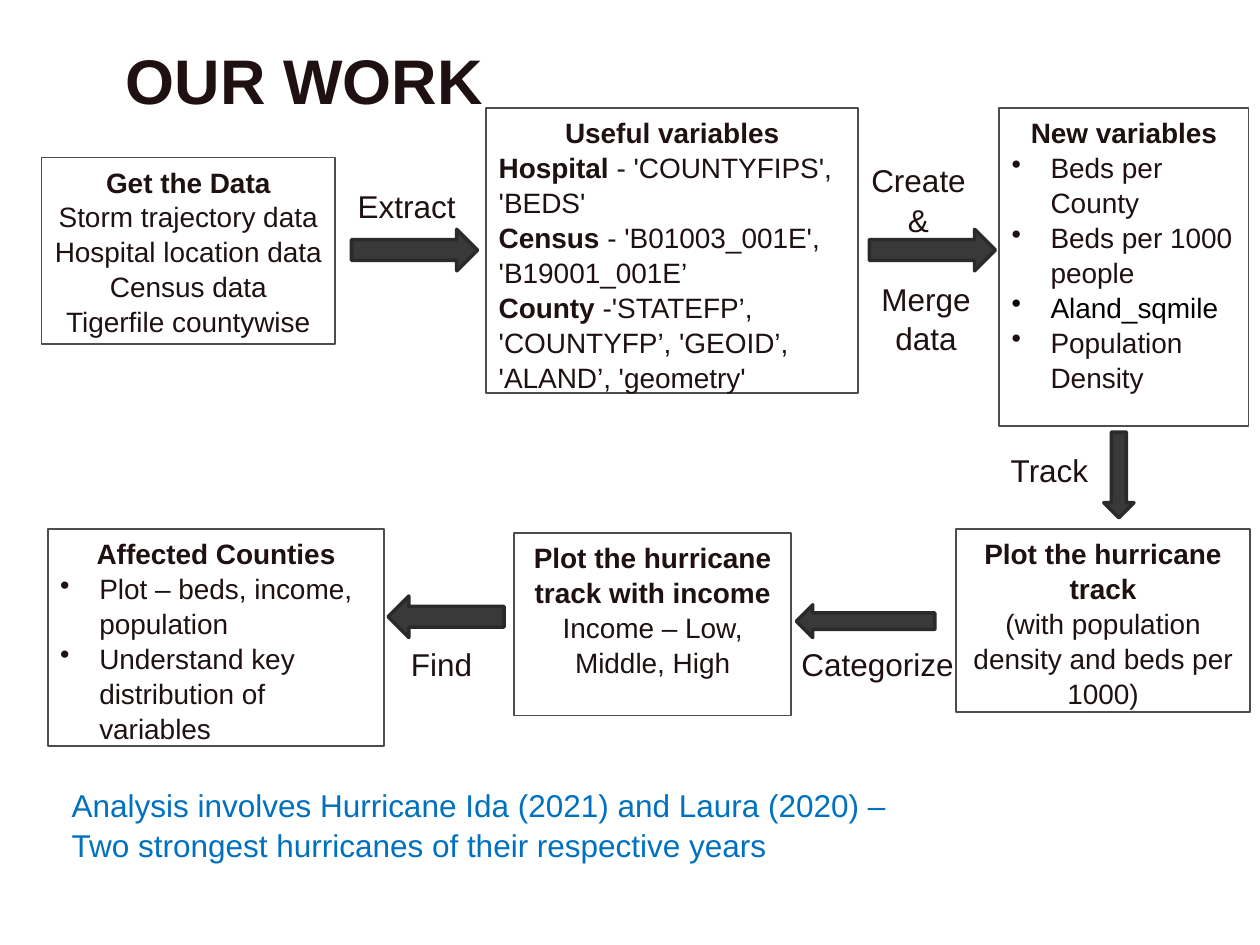
import dataclasses

import pptx
import pptx.dml.color
import pptx.enum.shapes
import pptx.enum.text
import pptx.oxml.ns
import pptx.util
from lxml import etree

PX = 9144
ALIGN = pptx.enum.text.PP_ALIGN
SHAPE = pptx.enum.shapes.MSO_SHAPE
ANCHOR = pptx.enum.text.MSO_ANCHOR


@dataclasses.dataclass(frozen=True)
class Theme:
    """Colours, type sizes and spacing of the slide."""
    font: str = "Arial"
    ink: str = "1F1111"
    black: str = "000000"
    accent: str = "0070C0"
    box_line: str = "4D4D4D"
    arrow_fill: str = "393939"
    arrow_line: str = "2A2A2A"
    title: int = 36
    label: int = 18
    body: int = 16
    leading: float = 1.04
    bullet_indent: int = 31


THEME = Theme()


def rgb(code):
    """Return the colour for a hex code."""
    return pptx.dml.color.RGBColor.from_string(code)


def place(region, left, top, width, height):
    """Return an EMU frame for a part offset from its region's corner."""
    return [pptx.util.Emu(n * PX) for n in (region[0] + left, region[1] + top, width, height)]


def write(frame, text, lead="", size=THEME.body, color=THEME.ink, bold=False,
          align=ALIGN.LEFT, bullet=False):
    """Append a paragraph to a text frame, with an optional bold lead-in."""
    first = frame.paragraphs[0]
    paragraph = frame.add_paragraph() if first.runs else first
    paragraph.alignment = align
    paragraph.line_spacing = THEME.leading
    if bullet:
        properties = paragraph._p.get_or_add_pPr()
        indent = THEME.bullet_indent * PX
        properties.set("marL", str(indent))
        properties.set("indent", str(-indent))
        mark = etree.SubElement(properties, pptx.oxml.ns.qn("a:buChar"))
        mark.set("char", "•")
    for words, heavy in ((lead, True), (text, bold)):
        if words:
            run = paragraph.add_run()
            run.text = words
            run.font.name = THEME.font
            run.font.size = pptx.util.Pt(size)
            run.font.bold = heavy
            run.font.color.rgb = rgb(color)


def label(slide, frame, text, anchor=ANCHOR.TOP, **text_format):
    """Add a wrapped text box holding one paragraph."""
    box = slide.shapes.add_textbox(*frame)
    box.text_frame.word_wrap = True
    box.text_frame.vertical_anchor = anchor
    write(box.text_frame, text, **{"size": THEME.label, **text_format})


def step(slide, frame, heading, lines, **text_format):
    """Add an outlined box with a bold heading above its lines."""
    box = slide.shapes.add_shape(SHAPE.RECTANGLE, *frame)
    box.shadow.inherit = False
    box.fill.background()
    box.line.color.rgb = rgb(THEME.box_line)
    box.line.width = pptx.util.Pt(1)
    box.text_frame.word_wrap = True
    box.text_frame.vertical_anchor = ANCHOR.TOP
    write(box.text_frame, heading, bold=True, align=ALIGN.CENTER)
    for line in lines:
        write(box.text_frame, **{**text_format, **line})


def arrow(slide, frame, rotation=0):
    """Add a dark block arrow that points right before rotation."""
    pointer = slide.shapes.add_shape(SHAPE.RIGHT_ARROW, *frame)
    pointer.shadow.inherit = False
    pointer.rotation = rotation
    pointer.fill.solid()
    pointer.fill.fore_color.rgb = rgb(THEME.arrow_fill)
    pointer.line.color.rgb = rgb(THEME.arrow_line)
    pointer.line.width = pptx.util.Pt(2)
    etree.SubElement(pointer.line._get_or_add_ln(), pptx.oxml.ns.qn("a:round"))


def header(slide, region):
    """Add the slide title."""
    label(slide, place(region, 0, 0, *region[2:]), "OUR WORK", anchor=ANCHOR.MIDDLE,
          size=THEME.title, bold=True)


def data_row(slide, region):
    """Add the steps from raw data to new variables, left to right."""
    step(slide, place(region, 0, 39, 233, 148), "Get the Data", [
        {"text": "Storm trajectory data"},
        {"text": "Hospital location data"},
        {"text": "Census data"},
        {"text": "Tigerfile countywise"},
    ], align=ALIGN.CENTER)
    step(slide, place(region, 353, 0, 295, 226), "Useful variables", [
        {"lead": "Hospital", "text": " - 'COUNTYFIPS', 'BEDS'"},
        {"lead": "Census", "text": " - 'B01003_001E', 'B19001_001E’"},
        {"lead": "County", "text": " -'STATEFP’, 'COUNTYFP’, 'GEOID’, 'ALAND’, 'geometry'"},
    ])
    step(slide, place(region, 760, 0, 198, 252), "New variables", [
        {"text": "Beds per County"},
        {"text": "Beds per 1000 people"},
        {"text": "Aland_sqmile", "color": THEME.black},
        {"text": "Population Density"},
    ], bullet=True)
    for left in (246, 657):
        arrow(slide, place(region, left, 96, 100, 33))
    label(slide, place(region, 241, 56, 110, 40), "Extract")
    label(slide, place(region, 641, 36, 110, 71), "Create &", align=ALIGN.CENTER)
    label(slide, place(region, 647, 130, 110, 71), "Merge data", align=ALIGN.CENTER)


def track_link(slide, region):
    """Add the labelled arrow that leads down to the plots."""
    label(slide, place(region, 0, 0, 110, 40), "Track", align=ALIGN.CENTER)
    arrow(slide, place(region, 76, 13, 68, 24), rotation=90)


def plot_row(slide, region):
    """Add the plotting steps, right to left."""
    step(slide, place(region, 721, 0, 233, 145), "Plot the hurricane track", [
        {"text": "(with population density and beds per 1000)"},
    ], align=ALIGN.CENTER)
    step(slide, place(region, 370, 3, 220, 145), "Plot the hurricane track with income", [
        {"text": "Income – Low, Middle, High"},
    ], align=ALIGN.CENTER)
    step(slide, place(region, 0, 0, 267, 172), "Affected Counties", [
        {"text": "Plot – beds, income, population"},
        {"text": "Understand key distribution of variables"},
    ], bullet=True)
    arrow(slide, place(region, 594, 60, 110, 26), rotation=180)
    arrow(slide, place(region, 270, 53, 92, 33), rotation=180)
    for left, text in ((587, "Categorize"), (241, "Find")):
        label(slide, place(region, left, 86, 143, 40), text, align=ALIGN.CENTER)


def footnote(slide, region):
    """Add the closing remark on the storms analysed."""
    label(slide, place(region, 0, 0, *region[2:]),
          "Analysis involves Hurricane Ida (2021) and Laura (2020) – "
          "Two strongest hurricanes of their respective years", color=THEME.accent)


def main():
    """Build the slide and save it."""
    deck = pptx.Presentation()
    deck.slide_width = pptx.util.Emu(1000 * PX)
    deck.slide_height = pptx.util.Emu(750 * PX)
    slide = deck.slides.add_slide(deck.slide_layouts[6])
    header(slide, (90, 28, 709, 68))
    data_row(slide, (33, 86, 958, 252))
    track_link(slide, (778, 352, 144, 68))
    plot_row(slide, (38, 420, 954, 172))
    footnote(slide, (47, 618, 672, 71))
    deck.save("out.pptx")


if __name__ == "__main__":
    main()
